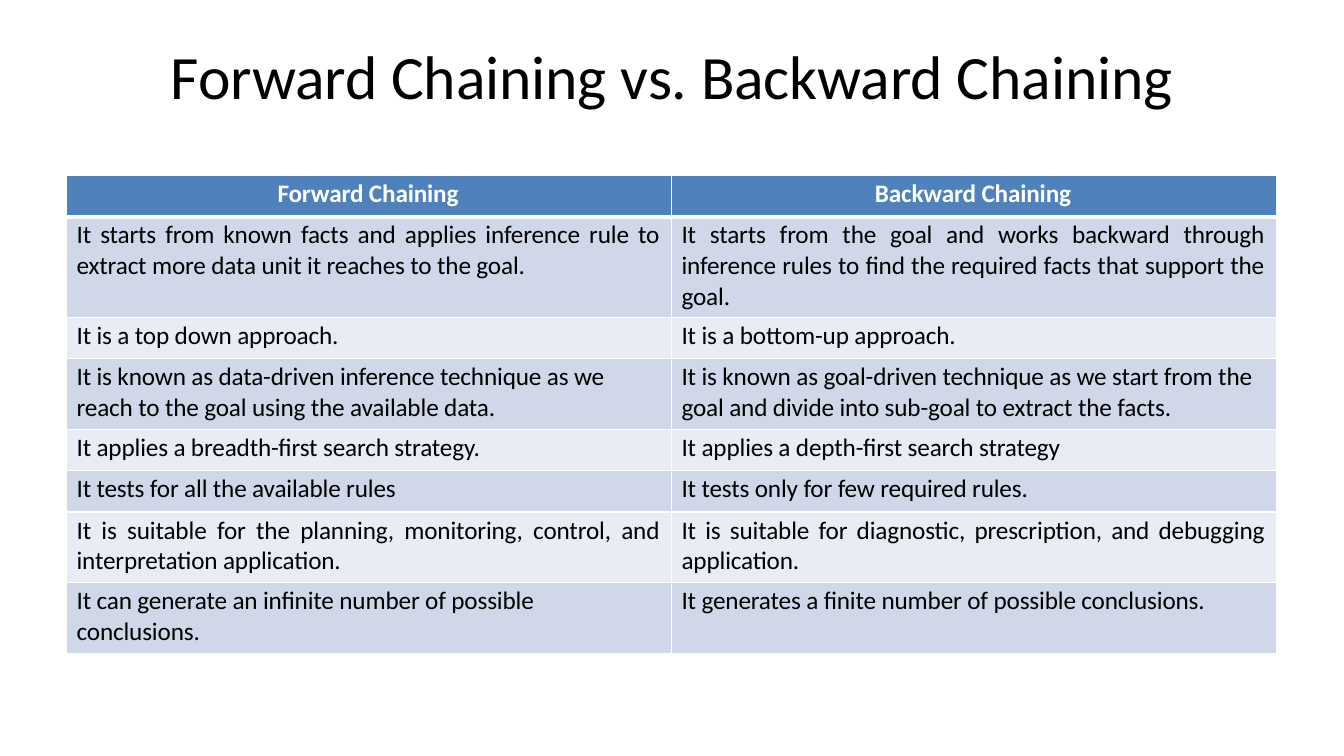
from dataclasses import dataclass

from lxml.etree import SubElement
from pptx import Presentation
from pptx.dml.color import RGBColor
from pptx.enum.text import MSO_ANCHOR, PP_ALIGN
from pptx.oxml.ns import qn
from pptx.util import Inches, Pt


@dataclass(frozen=True)
class Theme:
    font: str = "Calibri"
    title: int = 44
    body: int = 18
    black: str = "000000"
    white: str = "FFFFFF"
    head: str = "4F81BC"
    bands: tuple = ("E9ECF4", "D0D7E8")
    thin: int = 1
    thick: int = 3


THEME = Theme()
LEFT, MID, FULL = PP_ALIGN.LEFT, PP_ALIGN.CENTER, PP_ALIGN.JUSTIFY
TITLE = "Forward Chaining vs. Backward Chaining"

# Height, left text, right text, left alignment, right alignment
ROWS = [
    (0.41, "Forward Chaining", "Backward Chaining", MID, MID),
    (1.0, "It starts from known facts and applies inference rule to extract "
          "more data unit it reaches to the goal.",
     "It starts from the goal and works backward through inference rules "
     "to find the required facts that support the goal.", FULL, FULL),
    (0.41, "It is a top down approach.",
     "It is a bottom-up approach.", LEFT, LEFT),
    (0.7, "It is known as data-driven inference technique as we reach to the "
          "goal using the available data.",
     "It is known as goal-driven technique as we start from the goal and "
     "divide into sub-goal to extract the facts.", LEFT, LEFT),
    (0.41, "It applies a breadth-first search strategy.",
     "It applies a depth-first search strategy", LEFT, LEFT),
    (0.41, "It tests for all the available rules",
     "It tests only for few required rules.", LEFT, LEFT),
    (0.7, "It is suitable for the planning, monitoring, control, and "
          "interpretation application.",
     "It is suitable for diagnostic, prescription, and debugging "
     "application.", FULL, FULL),
    (0.7, "It can generate an infinite number of possible conclusions.",
     "It generates a finite number of possible conclusions.", LEFT, LEFT),
]


def apply(item, values):
    for name, value in values.items():
        setattr(item, name, value)


def write(frame, text, size, color, align, gap, bold=False):
    para = frame.paragraphs[0]
    apply(para, {"alignment": align, "space_before": Pt(gap)})
    run = para.add_run()
    run.text = text
    apply(run.font, {"name": THEME.font, "size": Pt(size), "bold": bold})
    run.font.color.rgb = RGBColor.from_string(color)
    run.font._element.set("spc", "-10")


def edge(cell, widths):
    """Draw white cell borders from a dict of side letter to points."""
    props = cell._tc.get_or_add_tcPr()
    for side, width in widths.items():
        line = SubElement(props, qn(f"a:ln{side}"), w=str(Pt(width)))
        fill = SubElement(line, qn("a:solidFill"))
        SubElement(fill, qn("a:srgbClr"), val=THEME.white)


def add_title(slide):
    box = slide.shapes.add_textbox(
        Inches(1.65), Inches(0.37), Inches(10.03), Inches(0.76))
    apply(box.text_frame, {
        "word_wrap": True, "margin_left": 0, "margin_right": 0,
        "margin_top": Inches(0.01), "margin_bottom": 0})
    write(box.text_frame, TITLE, THEME.title, THEME.black, MID, 1.1)


def fill_cell(cell, row, text, align):
    head = row == 0
    apply(cell, {
        "margin_left": Inches(0.1), "margin_right": Inches(0.12),
        "margin_top": Inches(0.03), "margin_bottom": 0,
        "vertical_anchor": MSO_ANCHOR.TOP})
    edge(cell, {"L": THEME.thin, "R": THEME.thin,
                "T": THEME.thick if row == 1 else THEME.thin,
                "B": THEME.thick if head else THEME.thin})
    cell.fill.solid()
    shade = THEME.head if head else THEME.bands[row % 2]
    cell.fill.fore_color.rgb = RGBColor.from_string(shade)
    color = THEME.white if head else THEME.black
    write(cell.text_frame, text, THEME.body, color, align, 2.5, head)


def add_grid(slide):
    total = sum(row[0] for row in ROWS)
    table = slide.shapes.add_table(
        len(ROWS), 2, Inches(0.66), Inches(1.74),
        Inches(12), Inches(total)).table
    for col in table.columns:
        col.width = Inches(6)
    for row, (height, left, right, *aligns) in enumerate(ROWS):
        table.rows[row].height = Inches(height)
        for col, (text, align) in enumerate(zip((left, right), aligns)):
            fill_cell(table.cell(row, col), row, text, align)


def main():
    deck = Presentation()
    apply(deck, {"slide_width": Inches(13.33), "slide_height": Inches(7.5)})
    slide = deck.slides.add_slide(deck.slide_layouts[6])
    add_title(slide)
    add_grid(slide)
    deck.save("out.pptx")


if __name__ == "__main__":
    main()
